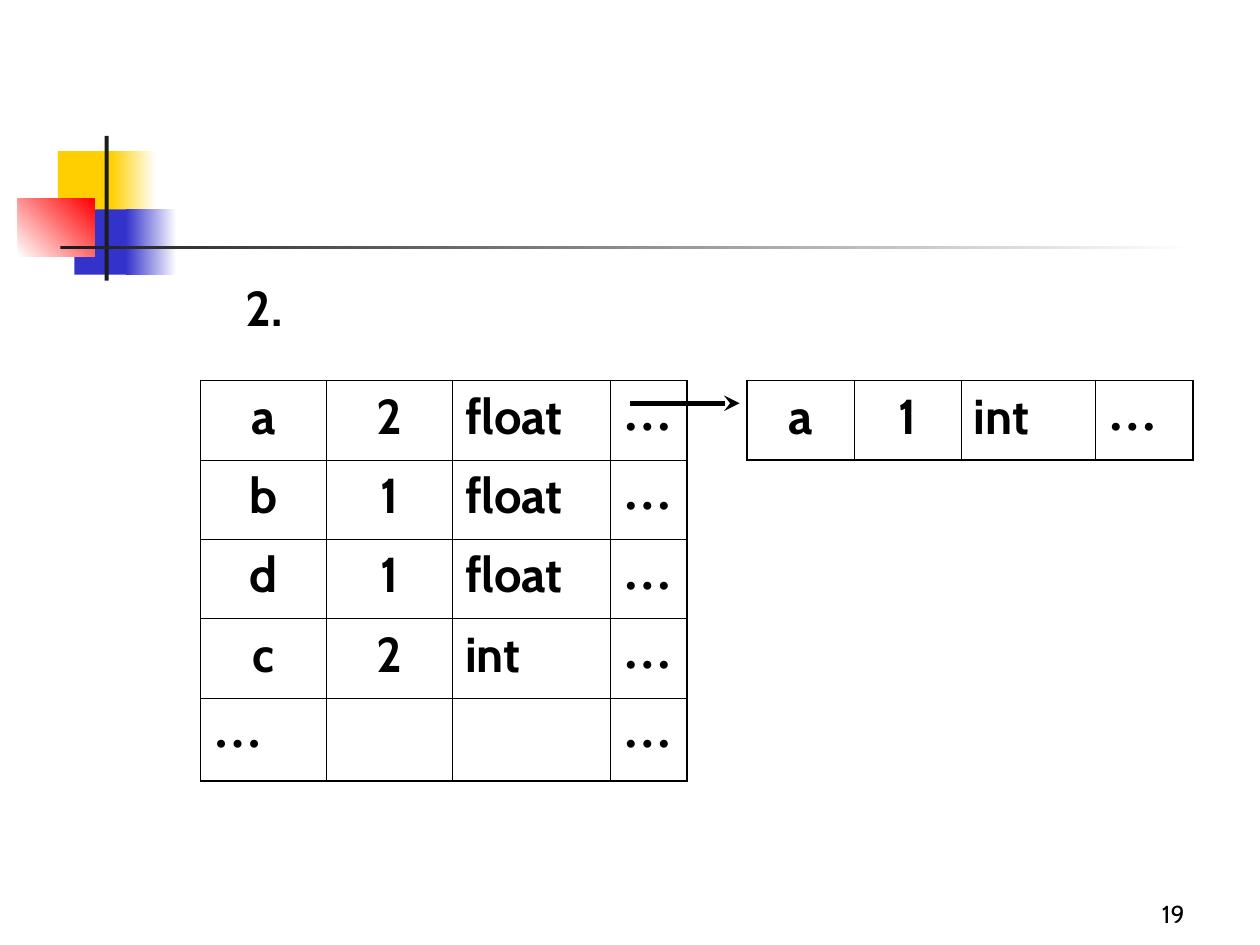
from pptx import Presentation
from pptx.dml.color import RGBColor
from pptx.enum.shapes import MSO_CONNECTOR, MSO_SHAPE
from pptx.enum.text import MSO_ANCHOR, PP_ALIGN
from pptx.oxml.ns import qn
from pptx.util import Cm, Pt
from lxml.etree import SubElement

BLACK = RGBColor(0x00, 0x00, 0x00)
WHITE = RGBColor(0xFF, 0xFF, 0xFF)
GOLD = RGBColor(0xFF, 0xCF, 0x01)
BLUE = RGBColor(0x33, 0x33, 0xCC)
RED = RGBColor(0xFF, 0x00, 0x00)
DARK = RGBColor(0x1C, 0x1C, 0x1C)

SANS = "Cabin"
SERIF = "Times New Roman"
DOTS = "…"
BOLD = {"name": SANS, "size": Pt(28), "bold": True}
SMALL = {"name": SANS, "size": Pt(14), "bold": False}
THIN = Pt(0.45)
THICK = Pt(1.08)

BLOCKS = [
    ((1.17, 3.05, 1.22, 1.32), [GOLD], 0),
    ((2.24, 3.05, 0.91, 1.32), [GOLD, WHITE], 0),
    ((1.5, 4.22, 1.17, 1.32), [BLUE], 0),
    ((2.54, 4.22, 1.02, 1.32), [BLUE, WHITE], 0),
    ((0.36, 4.01, 1.55, 1.17), [WHITE, RED], 45),
    ((2.11, 2.74, 0.08, 2.92), [DARK], 0),
    ((1.22, 4.95, 22.86, 0.08), [DARK, WHITE], 0),
]
MAIN = [
    ["a", "2", "float", DOTS],
    ["b", "1", "float", DOTS],
    ["d", "1", "float", DOTS],
    ["c", "2", "int", DOTS],
    [DOTS, "", "", DOTS],
]
NEXT = [["a", "1", "int", DOTS]]


def apply(item, style):
    for name, value in style.items():
        setattr(item, name, value)


def write(para, text, style, align):
    para.alignment = align
    run = para.add_run()
    run.text = text
    apply(run.font, style)
    run.font.color.rgb = BLACK


def add_block(slide, box, tones, angle):
    block = slide.shapes.add_shape(MSO_SHAPE.RECTANGLE, *map(Cm, box))
    block.shadow.inherit = False
    block.line.fill.background()
    if len(tones) == 1:
        block.fill.solid()
        block.fill.fore_color.rgb = tones[0]
        return
    block.fill.gradient()
    block.fill.gradient_angle = angle
    for stop, tone in zip(block.fill.gradient_stops, tones):
        stop.color.rgb = tone


def add_text(slide, box, text, style, align, anchor):
    frame = slide.shapes.add_textbox(*map(Cm, box)).text_frame
    apply(frame, {"word_wrap": True, "vertical_anchor": anchor})
    write(frame.paragraphs[0], text, style, align)


def add_edge(cell, side, width):
    props = cell._tc.get_or_add_tcPr()
    edge = SubElement(props, qn(f"a:ln{side}"), w=str(width))
    fill = SubElement(edge, qn("a:solidFill"))
    SubElement(fill, qn("a:srgbClr"), val=str(BLACK))


def add_grid(slide, left, top, wides, highs, rows):
    box = map(Cm, (left, top, sum(wides), sum(highs)))
    grid = slide.shapes.add_table(len(rows), len(wides), *box).table
    apply(grid, {"first_row": False, "horz_banding": False})
    for col, wide in zip(grid.columns, wides):
        col.width = Cm(wide)
    for row, high in zip(grid.rows, highs):
        row.height = Cm(high)
    last_row, last_col = len(rows) - 1, len(wides) - 1
    for r, row in enumerate(rows):
        for c, text in enumerate(row):
            cell = grid.cell(r, c)
            outer = {"L": c == 0, "R": c == last_col, "T": r == 0, "B": r == last_row}
            for side, edge in outer.items():
                add_edge(cell, side, THICK if edge else THIN)
            cell.fill.background()
            if text:
                dots = text == DOTS
                style = {**BOLD, "name": SERIF if dots else SANS}
                align = PP_ALIGN.CENTER if c < 2 and not dots else PP_ALIGN.LEFT
                write(cell.text_frame.paragraphs[0], text, style, align)


def add_arrow(slide, start, end):
    arrow = slide.shapes.add_connector(
        MSO_CONNECTOR.STRAIGHT, *map(Cm, start + end))
    arrow.line.color.rgb = BLACK
    arrow.line.width = Pt(3)
    SubElement(arrow.line._get_or_add_ln(), qn("a:tailEnd"), type="stealth")
    SubElement(arrow._element.spPr, qn("a:effectLst"))


def main():
    deck = Presentation()
    apply(deck, {"slide_width": Cm(25.4), "slide_height": Cm(19.05)})
    slide = deck.slides.add_slide(deck.slide_layouts[6])
    for box, tones, angle in BLOCKS:
        add_block(slide, box, tones, angle)
    add_text(slide, (18.85, 17.58, 5.28, 1.27), "19", SMALL,
             PP_ALIGN.RIGHT, MSO_ANCHOR.BOTTOM)
    add_text(slide, (4.7, 5.46, 2.34, 1.65), "2.", BOLD,
             PP_ALIGN.LEFT, MSO_ANCHOR.TOP)
    add_grid(slide, 4.04, 7.67, [2.54, 2.54, 3.18, 1.55], [1.6] * 4 + [1.68], MAIN)
    add_grid(slide, 15.06, 7.67, [2.16, 2.16, 2.7, 1.97], [1.6], NEXT)
    add_arrow(slide, (12.7, 8.13), (14.91, 8.13))
    deck.save("out.pptx")


if __name__ == "__main__":
    main()
